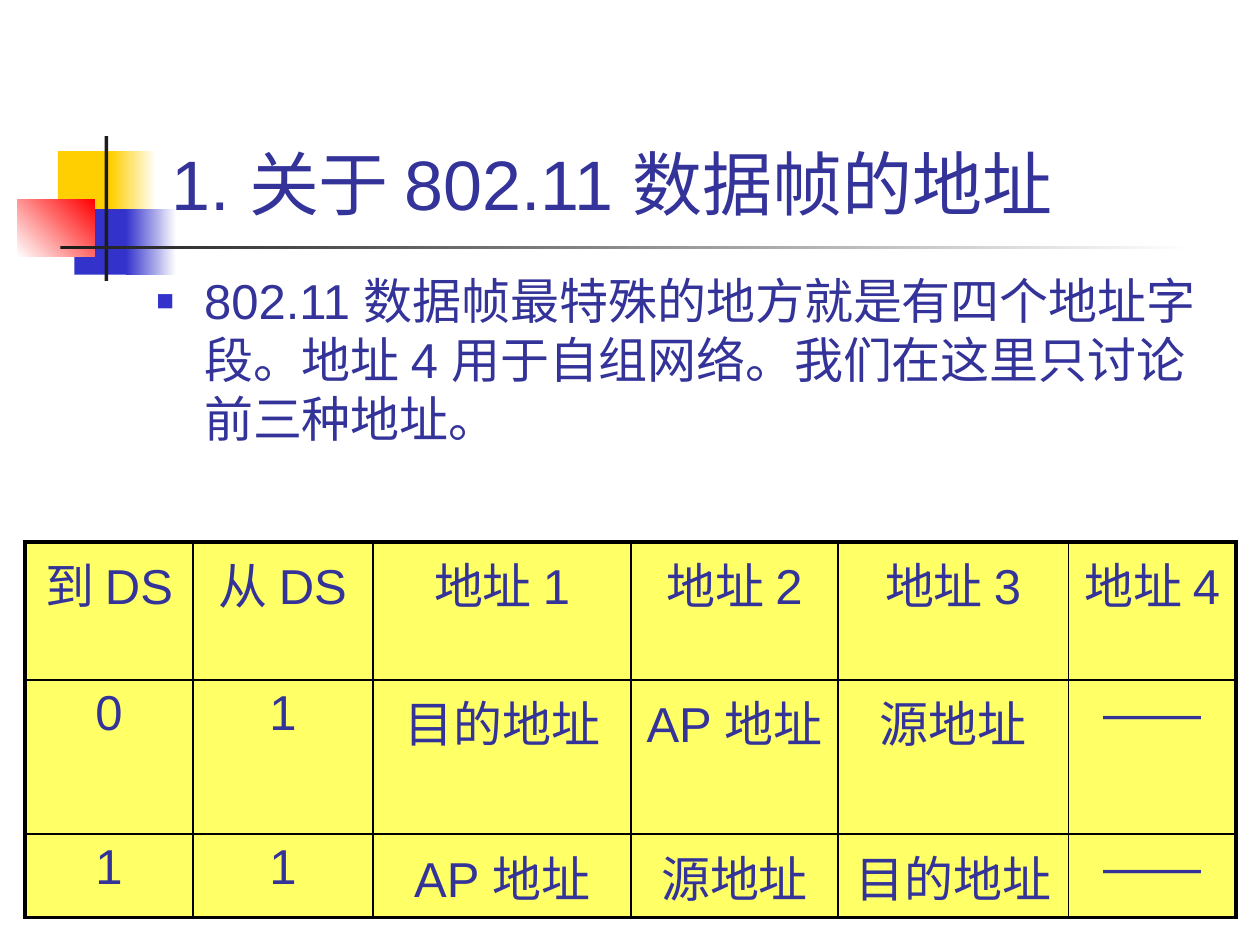
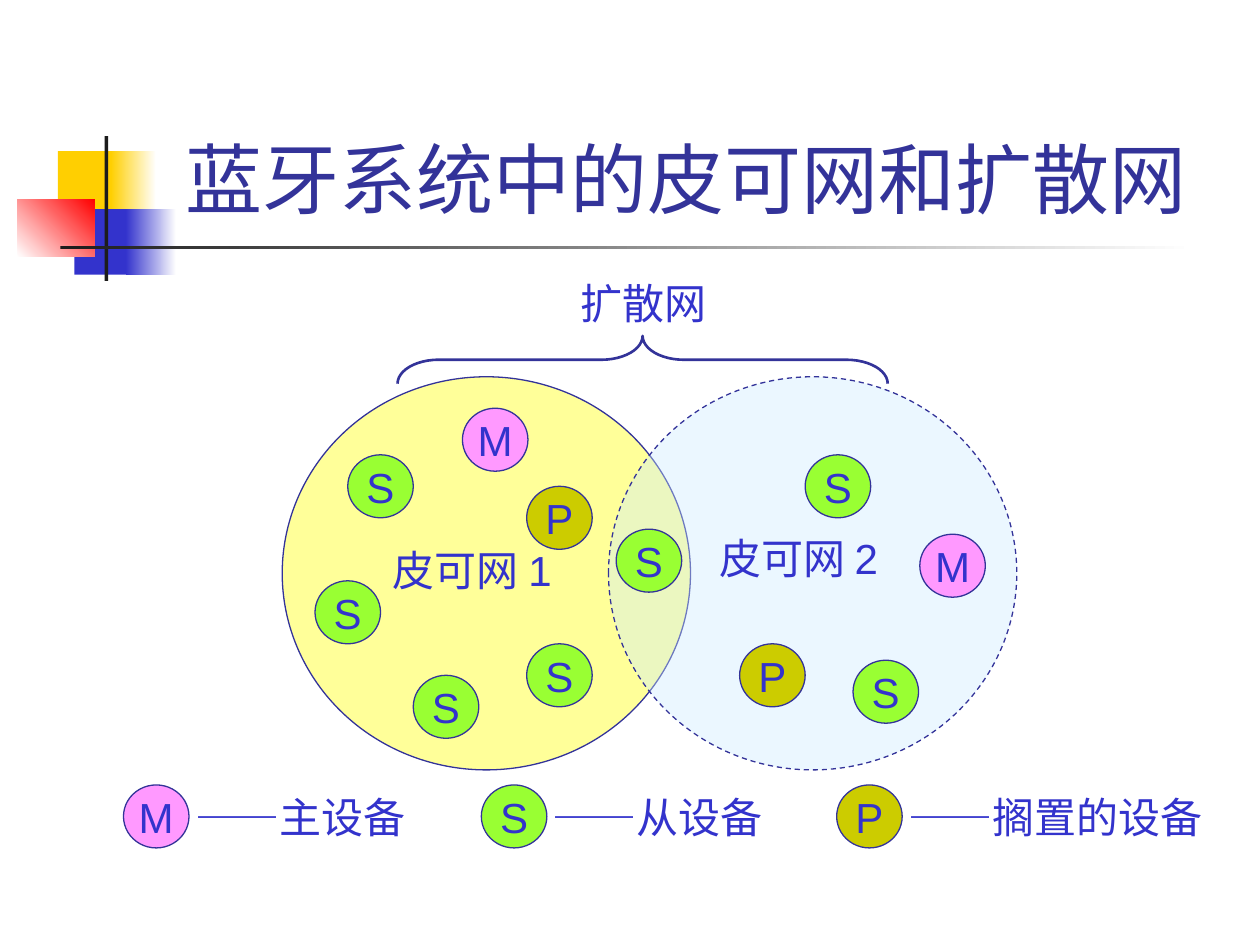
import pptx
import pptx.util
import pptx.dml.color
import pptx.enum.dml
import pptx.enum.shapes
import pptx.enum.text
import pptx.oxml
import pptx.oxml.ns

ALIGN = pptx.enum.text.PP_ALIGN
ANCHOR = pptx.enum.text.MSO_ANCHOR
SHAPE = pptx.enum.shapes.MSO_SHAPE
FONT = "Arial"
COLORS = {
    "text": "333399", "label": "3333CC", "white": "FFFFFF", "black": "000000",
    "gold": "FFCF01", "blue": "3333CC", "red": "FF0000", "ink": "1C1C1C",
    "cell": "FFFF66", "piconet 1": "FFFF99", "piconet 2": "CCECFF",
    "M": "FF99FF", "S": "99FF33", "P": "CCCC00",
}
NODE_SIZE = (0.52, 0.5)


# Helpers
def grid(*lengths):
    """Lengths on the 10 by 7.5 slide grid, whose cells are one inch."""
    return [pptx.util.Inches(length) for length in lengths]


def rgb(name):
    return pptx.dml.color.RGBColor.from_string(COLORS[name])


def add_xml(parent, xml):
    namespaces = pptx.oxml.ns.nsdecls("a")
    element = pptx.oxml.parse_xml(xml.replace(" ", f" {namespaces} ", 1))
    parent.append(element)


def style_text(frame, text, size, color="text", align=ALIGN.LEFT):
    frame.text = text
    paragraph = frame.paragraphs[0]
    paragraph.alignment = align
    paragraph.font.name = FONT
    paragraph.font.size = pptx.util.Pt(size)
    paragraph.font.bold = False
    paragraph.font.color.rgb = rgb(color)
    return paragraph


def add_space_before(paragraph):
    properties = paragraph._p.get_or_add_pPr()
    add_xml(properties, '<a:spcBef ><a:spcPct val="20000"/></a:spcBef>')
    return properties


def add_shape(slide, kind, box, fill=None, line_width=0):
    shape = slide.shapes.add_shape(kind, *grid(*box))
    shape.shadow.inherit = False
    if fill:
        shape.fill.solid()
        shape.fill.fore_color.rgb = rgb(fill)
    else:
        shape.fill.background()
    if line_width:
        shape.line.color.rgb = rgb("text")
        shape.line.width = pptx.util.Pt(line_width)
    else:
        shape.line.fill.background()
    return shape


# Shared template parts
def add_fade(slide, box, start, end, angle=0):
    shape = add_shape(slide, SHAPE.RECTANGLE, box)
    shape.fill.gradient()
    shape.fill.gradient_angle = angle
    for stop, name in zip(shape.fill.gradient_stops, (start, end)):
        stop.color.rgb = rgb(name)
    return shape


def decorate_master(presentation, slide):
    """Build the corner blocks and rule, then move them to the master."""
    parts = [
        add_shape(slide, SHAPE.RECTANGLE, (0.46, 1.2, 0.48, 0.52), "gold"),
        add_fade(slide, (0.88, 1.2, 0.36, 0.52), "gold", "white"),
        add_shape(slide, SHAPE.RECTANGLE, (0.59, 1.66, 0.46, 0.52), "blue"),
        add_fade(slide, (1, 1.66, 0.4, 0.52), "blue", "white"),
        add_fade(slide, (0.14, 1.58, 0.61, 0.46), "white", "red", 45),
        add_shape(slide, SHAPE.RECTANGLE, (0.83, 1.08, 0.03, 1.15), "ink"),
        add_fade(slide, (0.48, 1.95, 9, 0.03), "ink", "white"),
    ]
    tree = presentation.slide_master.shapes._spTree
    for index, part in enumerate(parts):
        tree.insert(2 + index, part._element)


def place(placeholder, box, anchor):
    (placeholder.left, placeholder.top,
     placeholder.width, placeholder.height) = grid(*box)
    frame = placeholder.text_frame
    frame.word_wrap = True
    frame.auto_size = pptx.enum.text.MSO_AUTO_SIZE.NONE
    frame.vertical_anchor = anchor
    return frame


def add_slide(presentation, layout_name, title, size, align=ALIGN.LEFT):
    layout = presentation.slide_layouts.get_by_name(layout_name)
    slide = presentation.slides.add_slide(layout)
    frame = place(slide.shapes.title, (1.26, 0.23, 8.52, 1.6), ANCHOR.BOTTOM)
    style_text(frame, title, size, align=align)
    return slide


# Address slide
def fill_body(slide, text):
    frame = place(slide.placeholders[1], (1.14, 2.1, 8.5, 1.57), ANCHOR.TOP)
    properties = add_space_before(style_text(frame, text, 28))
    indent = pptx.util.Inches(0.38)
    properties.set("marL", str(indent))
    properties.set("indent", str(-indent))
    add_xml(properties, f'<a:buClr ><a:srgbClr val="{COLORS["blue"]}"/></a:buClr>')
    add_xml(properties, '<a:buSzPct val="60000"/>')
    add_xml(properties, f'<a:buFont typeface="{FONT}"/>')
    add_xml(properties, '<a:buChar char="■"/>')


def add_borders(cell, outer_edges):
    properties = cell._tc.get_or_add_tcPr()
    for edge in "LRTB":
        width = pptx.util.Pt(2.25 if edge in outer_edges else 1)
        add_xml(properties, f'<a:ln{edge} w="{width}"><a:solidFill><a:srgbClr '
                f'val="{COLORS["black"]}"/></a:solidFill></a:ln{edge}>')


def add_address_table(slide, rows, column_widths):
    row_height = 0.66
    last_row, last_column = len(rows) - 1, len(column_widths) - 1
    box = grid(0.2, 4.3, sum(column_widths), row_height * len(rows))
    table = slide.shapes.add_table(len(rows), len(column_widths), *box).table
    table.first_row = table.horz_banding = False
    for column, width in zip(table.columns, grid(*column_widths)):
        column.width = width
    for row_index, texts in enumerate(rows):
        table.rows[row_index].height = pptx.util.Inches(row_height)
        for column_index, text in enumerate(texts):
            cell = table.cell(row_index, column_index)
            outer = {"L": column_index == 0, "R": column_index == last_column,
                     "T": row_index == 0, "B": row_index == last_row}
            add_borders(cell, [edge for edge in outer if outer[edge]])
            cell.fill.solid()
            cell.fill.fore_color.rgb = rgb("cell")
            add_space_before(style_text(cell.text_frame, text, 28,
                                        align=ALIGN.CENTER))


# Piconet slide
def add_label(slide, text, box, wrap=False):
    label = slide.shapes.add_textbox(*grid(*box))
    label.text_frame.word_wrap = wrap
    style_text(label.text_frame, text, 24, "label")


def add_node(slide, role, left, top):
    node = add_shape(slide, SHAPE.OVAL, (left, top, *NODE_SIZE), role, 0.75)
    node.text_frame.word_wrap = False
    node.text_frame.vertical_anchor = ANCHOR.MIDDLE
    style_text(node.text_frame, role, 24, "label", ALIGN.CENTER)


def add_piconets(slide):
    top, width, height = 2.99, 3.24, 3.12
    add_shape(slide, SHAPE.OVAL, (2.24, top, width, height), "piconet 1", 0.75)
    second = add_shape(slide, SHAPE.OVAL, (4.83, top, width, height),
                       "piconet 2", 0.75)
    second.line.dash_style = pptx.enum.dml.MSO_LINE.DASH
    color = second.fill._xPr.find(".//" + pptx.oxml.ns.qn("a:srgbClr"))
    add_xml(color, '<a:alpha val="39000"/>')


def add_brace(slide):
    brace = add_shape(slide, SHAPE.RIGHT_BRACE, (4.91, 0.91, 0.38, 3.89),
                      line_width=1.5)
    brace.rotation = 270
    brace.adjustments[0] = 0.86
    brace.adjustments[1] = 0.5


def add_legend(slide, entries):
    top = 6.23
    for role, text, left, width in entries:
        add_node(slide, role, left, top)
        add_label(slide, text, (left + 0.47, top, width, 0.5))


def main():
    presentation = pptx.Presentation()
    presentation.slide_width, presentation.slide_height = grid(10, 7.5)

    # Frame addresses
    slide = add_slide(presentation, "Title and Content",
                      "1. 关于 802.11 数据帧的地址", 40)
    decorate_master(presentation, slide)
    fill_body(slide, "802.11 数据帧最特殊的地方就是有四个地址字段。"
                     "地址 4 用于自组网络。我们在这里只讨论前三种地址。")
    add_address_table(slide, [
        ["到 DS", "从 DS", "地址 1", "地址 2", "地址 3", "地址 4"],
        ["0", "1", "目的地址", "AP 地址", "源地址", "——"],
        ["1", "1", "AP 地址", "源地址", "目的地址", "——"],
    ], [1.33, 1.43, 2.05, 1.64, 1.83, 1.33])

    # Piconets and scatternet
    slide = add_slide(presentation, "Title Only",
                      "蓝牙系统中的皮可网和扩散网 ", 44, ALIGN.CENTER)
    add_piconets(slide)
    nodes = {
        "M": [(3.67, 3.24), (7.3, 4.24)],
        "S": [(2.5, 4.61), (2.76, 3.61), (4.89, 4.2), (4.18, 5.11),
              (3.28, 5.36), (6.77, 5.24), (6.39, 3.61)],
        "P": [(5.87, 5.11), (4.18, 3.86)],
    }
    for role, places in nodes.items():
        for left, top in places:
            add_node(slide, role, left, top)
    add_label(slide, "皮可网 1", (3.02, 4.27, 1.48, 0.5), wrap=True)
    add_label(slide, "皮可网 2", (5.61, 4.18, 1.48, 0.5), wrap=True)
    add_label(slide, "扩散网", (4.51, 2.15, 1.2, 0.5))
    add_brace(slide)
    add_legend(slide, [("M", "——主设备", 0.98, 1.87),
                       ("S", "——从设备", 3.82, 1.87),
                       ("P", "——搁置的设备", 6.64, 2.53)])

    presentation.save("out.pptx")


if __name__ == "__main__":
    main()
